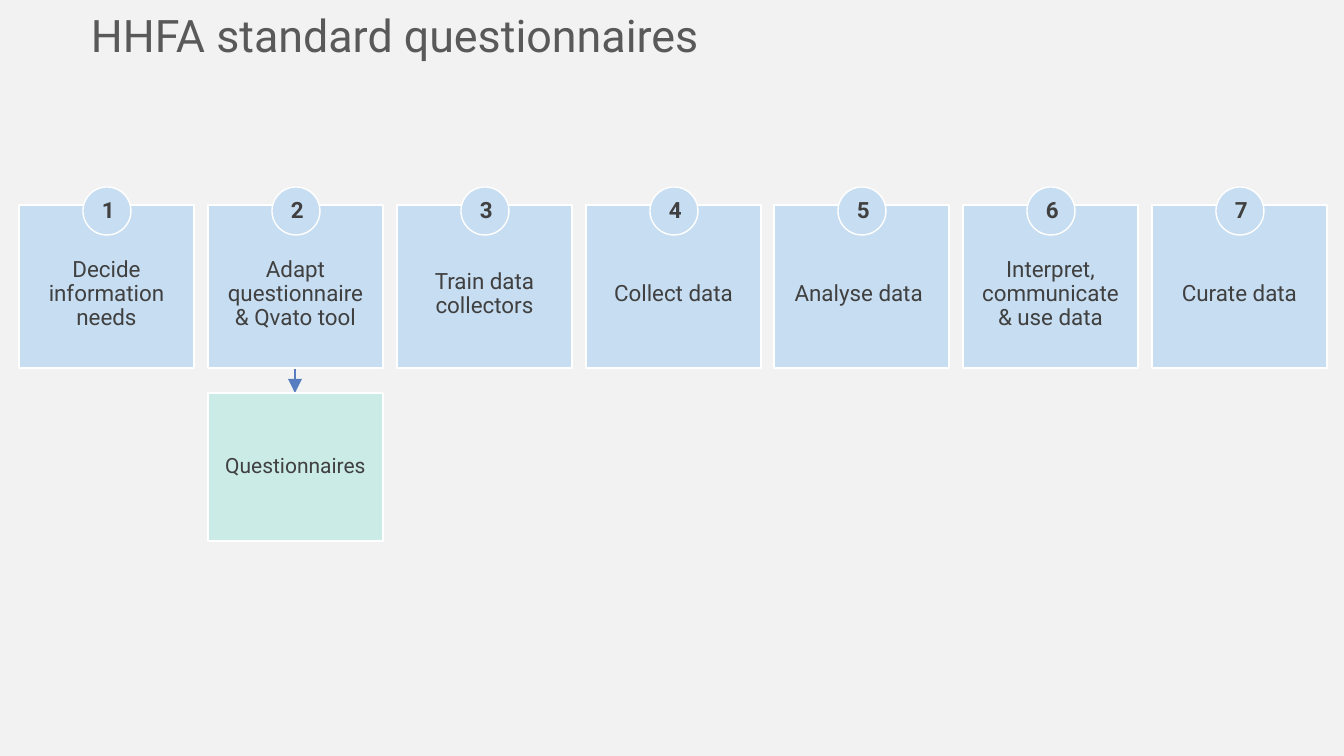
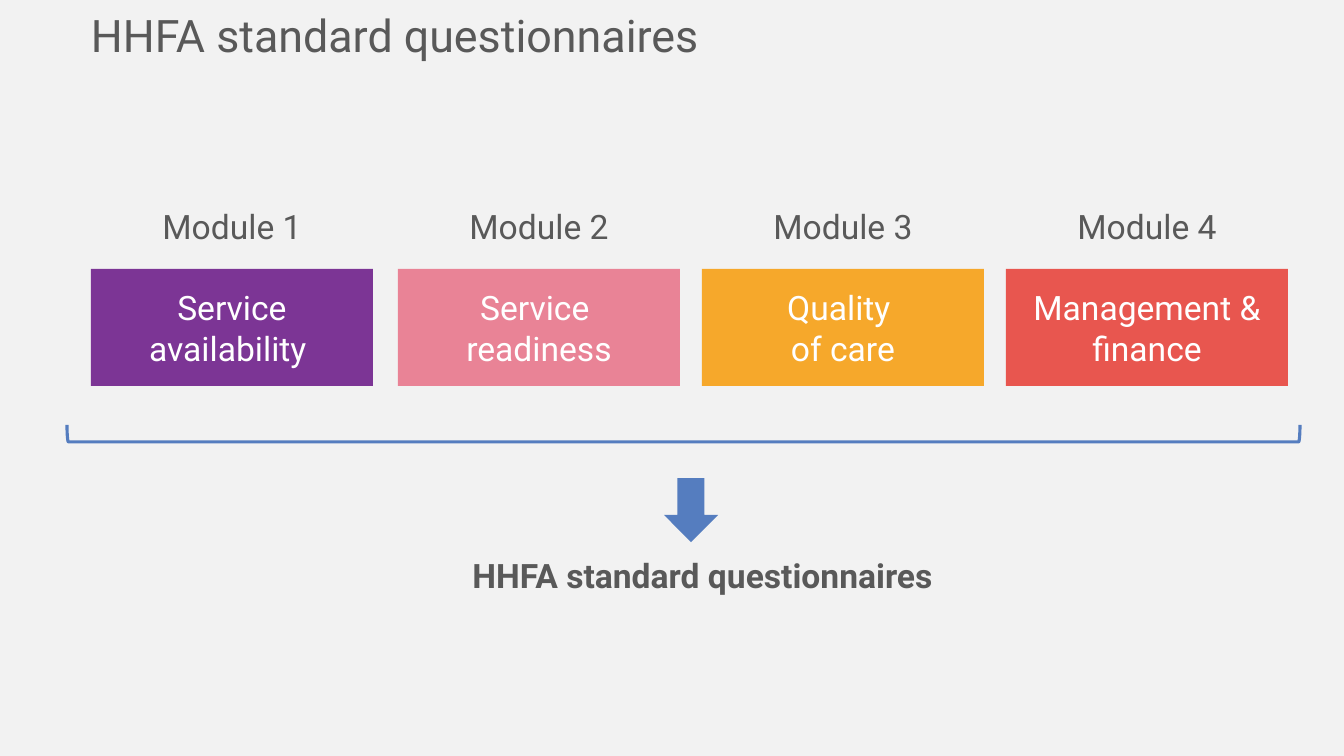
import lxml.etree
import pptx
import pptx.dml.color
import pptx.enum.shapes
import pptx.enum.text
import pptx.oxml.ns
import pptx.util

SHAPES = pptx.enum.shapes.MSO_SHAPE
ANCHORS = pptx.enum.text.MSO_ANCHOR
ALIGNS = pptx.enum.text.PP_ALIGN
PX_PER_INCH = 100.8
FONT = "Roboto"
TITLE = "HHFA standard questionnaires"
PAPER, WHITE, GREY, INK = "F2F2F2", "FFFFFF", "595959", "404040"
BLUE, PALE_BLUE, MINT = "557DBF", "C7DDF1", "CBEBE6"
STEPS = [
    "Decide information needs",
    "Adapt questionnaire & Qvato tool",
    "Train data collectors",
    "Collect data",
    "Analyse data ",
    "Interpret, communicate & use data",
    "Curate data",
]
MODULES = [
    (91, "Service availability ", "7C3595"),
    (398, "Service \nreadiness", "E98396"),
    (702, "Quality \nof care", "F6A82B"),
    (1006, "Management & finance", "E8564F"),
]


def px(length):
    """Turn pixels into EMU."""
    return pptx.util.Inches(length / PX_PER_INCH)


def color(value):
    """Turn a hex string into a colour."""
    return pptx.dml.color.RGBColor.from_string(value)


def write(shape, text, size, ink, bold=False, align=ALIGNS.CENTER, spacing=1.0,
          anchor=ANCHORS.MIDDLE, insets=(10, 5, 10, 5)):
    """Fill a shape with formatted text; insets run left, top, right, bottom."""
    frame = shape.text_frame
    frame.text = text
    frame.word_wrap = True
    frame.auto_size = pptx.enum.text.MSO_AUTO_SIZE.NONE
    frame.vertical_anchor = anchor
    frame.margin_left, frame.margin_top, frame.margin_right, frame.margin_bottom = map(px, insets)
    for para in frame.paragraphs:
        para.alignment = align
        para.line_spacing = spacing
        for span in para.runs:
            span.font.name = FONT
            span.font.size = pptx.util.Pt(size)
            span.font.bold = bold
            span.font.color.rgb = color(ink)


def add_block(page, kind, box, fill=None, line=None, weight=1):
    """Add a flat preset shape in a box of left, top, width, height."""
    shape = page.shapes.add_shape(kind, *map(px, box))
    shape.shadow.inherit = False
    if fill:
        shape.fill.solid()
        shape.fill.fore_color.rgb = color(fill)
    else:
        shape.fill.background()
    if line:
        shape.line.color.rgb = color(line)
        shape.line.width = pptx.util.Pt(weight)
    else:
        shape.line.fill.background()
    return shape


def add_label(page, box, text, bold=False):
    """Add a centred grey caption."""
    label = page.shapes.add_textbox(*map(px, box))
    write(label, text, 24, GREY, bold, spacing=0.9, anchor=ANCHORS.TOP)


def add_arrow(page, x, top, bottom):
    """Add a downward line with a large triangular head."""
    arrow = page.shapes.add_connector(
        pptx.enum.shapes.MSO_CONNECTOR.STRAIGHT, px(x), px(top), px(x), px(bottom))
    arrow.line.color.rgb = color(BLUE)
    arrow.line.width = pptx.util.Pt(2)
    properties = arrow._element.spPr
    outline = properties.find(pptx.oxml.ns.qn("a:ln"))
    lxml.etree.SubElement(outline, pptx.oxml.ns.qn("a:tailEnd"),
                          {"type": "triangle", "w": "lg", "len": "lg"})
    lxml.etree.SubElement(properties, pptx.oxml.ns.qn("a:effectLst"))


def add_bracket(page, box):
    """Add a bracket that opens upwards and fills the box."""
    left, top, width, height = box
    turned = (left + (width - height) // 2, top + (height - width) // 2, height, width)
    bracket = add_block(page, SHAPES.RIGHT_BRACKET, turned, line=BLUE, weight=2.25)
    bracket.rotation = 90


def add_step(page, box, number, text):
    """Add a step card with its number badge on the top edge."""
    left, top, width, height = box
    card = add_block(page, SHAPES.RECTANGLE, box, PALE_BLUE, WHITE)
    write(card, text, 16, INK, spacing=0.9, insets=(16, 39, 16, 24))
    badge = 48
    badge_box = (left + (width - badge + 1) // 2, top - 18, badge, badge)
    circle = add_block(page, SHAPES.OVAL, badge_box, PALE_BLUE, WHITE)
    write(circle, str(number), 16, INK, True, spacing=0.9, insets=(12, 4, 12, 4))


def add_module(page, box, number, text, fill):
    """Add a module block with its caption above."""
    left, top, width, height = box
    add_label(page, (left + 25, top - 64, width - 50, 47), f"Module {number}")
    block = add_block(page, SHAPES.RECTANGLE, box, fill)
    write(block, text, 24, WHITE)


def add_page(deck):
    """Add a page with the shared title."""
    page = deck.slides.add_slide(deck.slide_layouts[5])
    title = page.shapes.title
    title.left, title.top, title.width, title.height = map(px, (81, 3, 994, 64))
    write(title, TITLE, 32, GREY, align=ALIGNS.LEFT, anchor=ANCHORS.TOP)
    return page


def build_steps_page(deck, box):
    """Build the row of steps with the branch under the second one."""
    page = add_page(deck)
    left, top, width, height = box
    card_width, gap = 175, 25
    pitch = (width - card_width) / (len(STEPS) - 1)
    lefts = [round(left + index * pitch) for index in range(len(STEPS))]
    branch_top = top + height + gap
    add_arrow(page, lefts[1] + card_width // 2, top + height, branch_top)
    branch = add_block(page, SHAPES.RECTANGLE, (lefts[1], branch_top, card_width, 148),
                       MINT, WHITE)
    write(branch, "Questionnaires", 15, INK, spacing=0.9, insets=(16, 24, 16, 24))
    for number, (card_left, text) in enumerate(zip(lefts, STEPS), 1):
        add_step(page, (card_left, top, card_width, height), number, text)


def build_modules_page(deck, box):
    """Build the modules, bracketed together into one outcome."""
    page = add_page(deck)
    left, top, width, height = box
    for number, (block_left, text, fill) in enumerate(MODULES, 1):
        add_module(page, (block_left, top, 282, height), number, text, fill)
    add_bracket(page, (left, top + 156, width, 17))
    add_block(page, SHAPES.DOWN_ARROW, (left + 597, top + 209, 54, 64), BLUE)
    add_label(page, (left + 275, top + 285, 721, 47), TITLE, True)


def main():
    """Build and save the deck."""
    deck = pptx.Presentation()
    deck.slide_width, deck.slide_height = px(1344), px(756)
    backdrop = deck.slide_master.background.fill
    backdrop.solid()
    backdrop.fore_color.rgb = color(PAPER)
    build_steps_page(deck, (19, 205, 1308, 163))
    build_modules_page(deck, (67, 269, 1233, 117))
    deck.save("out.pptx")


if __name__ == "__main__":
    main()
